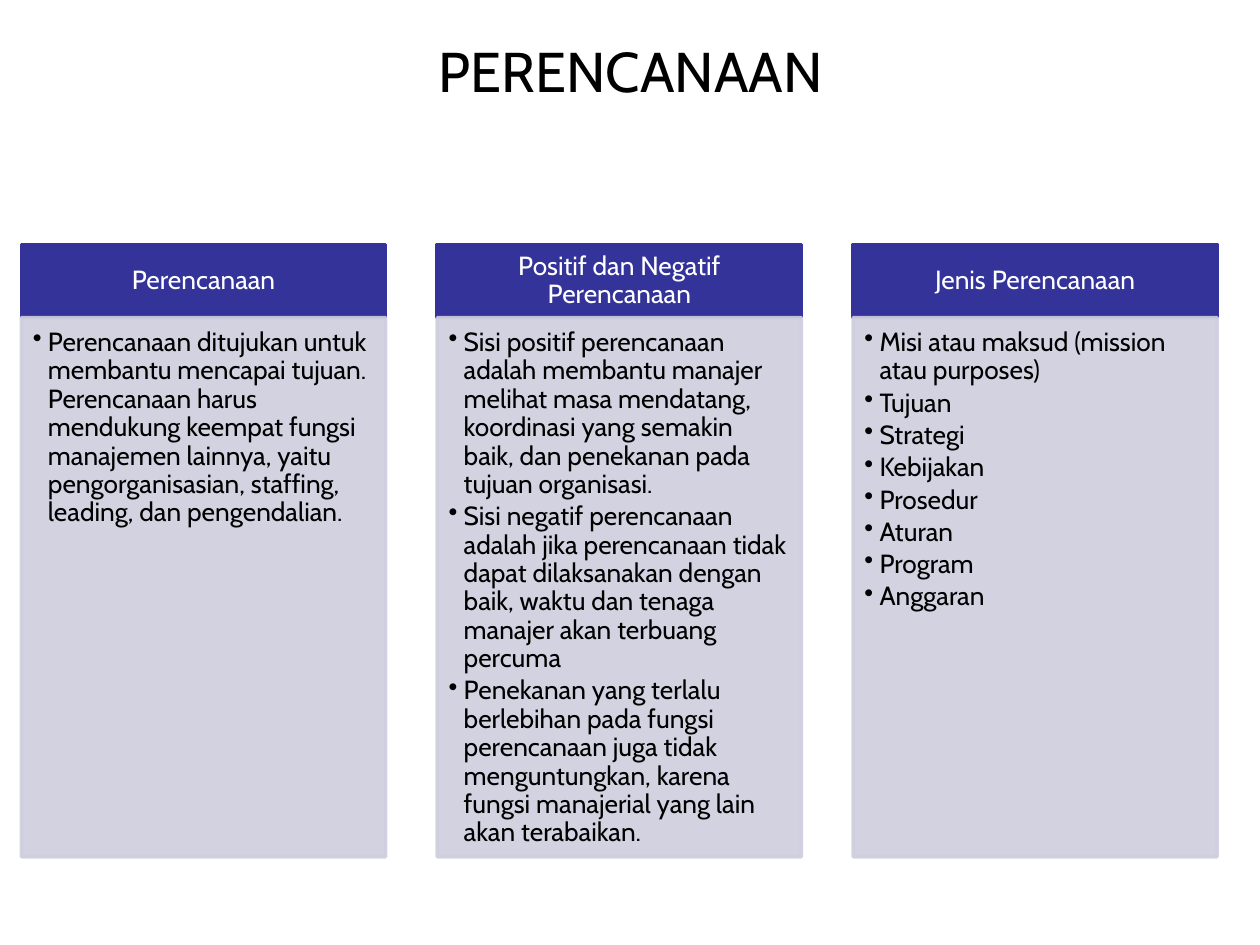
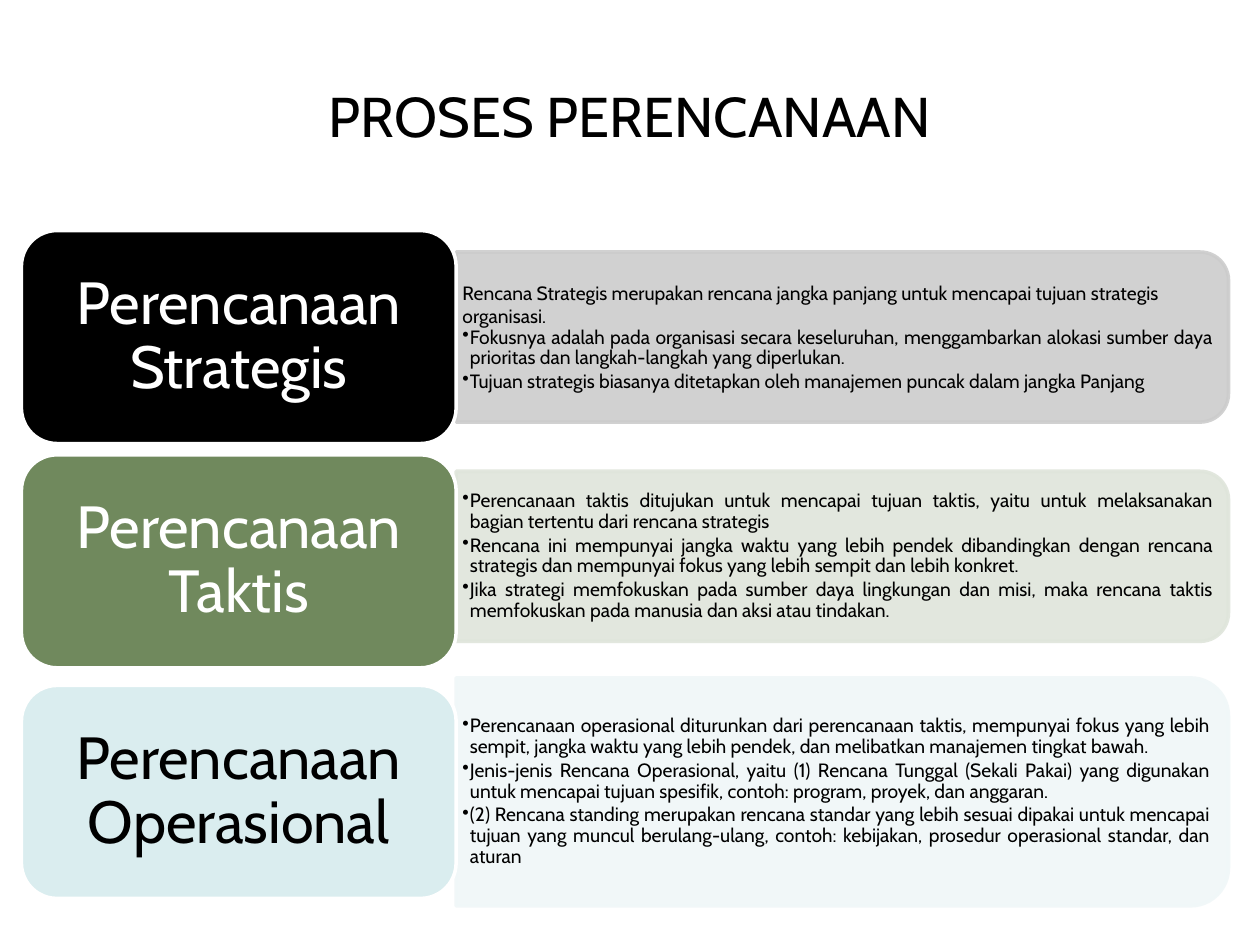
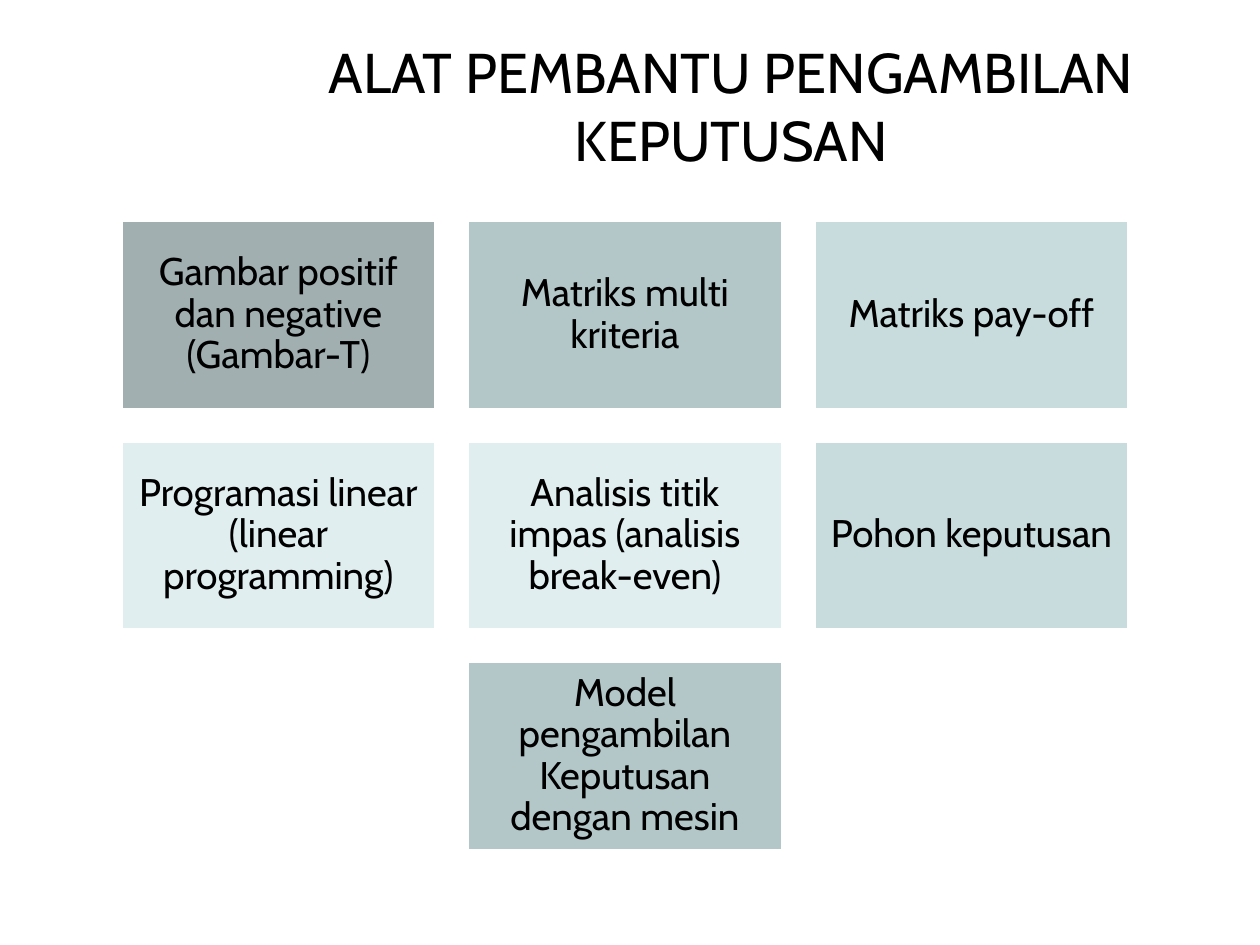
import pptx
import pptx.dml.color
import pptx.enum.shapes
import pptx.enum.text
import pptx.oxml
import pptx.oxml.ns
import pptx.util

Inches = pptx.util.Inches
Pt = pptx.util.Pt
SHAPE = pptx.enum.shapes.MSO_SHAPE
ALIGN = pptx.enum.text.PP_ALIGN
ANCHOR = pptx.enum.text.MSO_ANCHOR

FONT = "Cabin"
BLACK, WHITE = "000000", "FFFFFF"
NAVY, LAVENDER = "333399", "CECEDE"
TITLE_SIZE = 32

# Content
COLUMNS = [
    ("Perencanaan", [
        "Perencanaan ditujukan untuk membantu mencapai tujuan. Perencanaan harus mendukung "
        "keempat fungsi manajemen lainnya, yaitu pengorganisasian, staffing, leading, dan "
        "pengendalian.",
    ]),
    ("Positif dan Negatif Perencanaan", [
        "Sisi positif perencanaan adalah membantu manajer melihat masa mendatang, koordinasi "
        "yang semakin baik, dan penekanan pada tujuan organisasi.",
        "Sisi negatif perencanaan adalah jika perencanaan tidak dapat dilaksanakan dengan baik, "
        "waktu dan tenaga manajer akan terbuang percuma",
        "Penekanan yang terlalu berlebihan pada fungsi perencanaan juga tidak menguntungkan, "
        "karena fungsi manajerial yang lain akan terabaikan.",
    ]),
    ("Jenis Perencanaan", [
        "Misi atau maksud (mission atau purposes)", "Tujuan", "Strategi", "Kebijakan",
        "Prosedur", "Aturan", "Program", "Anggaran",
    ]),
]

LEVELS = [
    {"label": "Perencanaan Strategis", "fill": BLACK, "color": WHITE, "top": 1.83,
     "panel": "CCCCCC", "panel_top": 2.0, "panel_height": 1.35,
     "intro": "Rencana Strategis merupakan rencana jangka panjang untuk mencapai tujuan "
              "strategis organisasi.",
     "points": [
         "Fokusnya adalah pada organisasi secara keseluruhan, menggambarkan alokasi sumber "
         "daya prioritas dan langkah-langkah yang diperlukan.",
         "Tujuan strategis biasanya ditetapkan oleh manajemen puncak dalam jangka Panjang",
     ]},
    {"label": "Perencanaan Taktis", "fill": "70895D", "color": WHITE, "top": 3.61,
     "panel": "DFE5DB", "panel_top": 3.74, "panel_height": 1.35,
     "points": [
         "Perencanaan taktis ditujukan untuk mencapai tujuan taktis, yaitu untuk melaksanakan "
         "bagian tertentu dari rencana strategis",
         "Rencana ini mempunyai jangka waktu yang lebih pendek dibandingkan dengan rencana "
         "strategis dan mempunyai fokus yang lebih sempit dan lebih konkret.",
         "Jika strategi memfokuskan pada sumber daya lingkungan dan misi, maka rencana taktis "
         "memfokuskan pada manusia dan aksi atau tindakan.",
     ]},
    {"label": "Perencanaan Operasional", "fill": "DAEDEF", "color": BLACK, "top": 5.44,
     "panel": "F0F7F8", "panel_top": 5.38, "panel_height": 1.81,
     "points": [
         "Perencanaan operasional diturunkan dari perencanaan taktis, mempunyai fokus yang "
         "lebih sempit, jangka waktu yang lebih pendek, dan melibatkan manajemen tingkat bawah.",
         "Jenis-jenis Rencana Operasional, yaitu (1) Rencana Tunggal (Sekali Pakai) yang "
         "digunakan untuk mencapai tujuan spesifik, contoh: program, proyek, dan anggaran.",
         "(2) Rencana standing merupakan rencana standar yang lebih sesuai dipakai untuk "
         "mencapai tujuan yang muncul berulang-ulang, contoh: kebijakan, prosedur operasional "
         "standar, dan aturan",
     ]},
]

# Each tool: column, row, label, fill
TOOLS = [
    (0, 0, "Gambar positif dan negative (Gambar-T)", "A1AFB1"),
    (1, 0, "Matriks multi kriteria", "B3C7C9"),
    (2, 0, "Matriks pay-off", "C8DCDE"),
    (0, 1, "Programasi linear (linear programming)", "E0EEF0"),
    (1, 1, "Analisis titik impas (analisis break-even)", "E0EEF0"),
    (2, 1, "Pohon keputusan", "C8DCDE"),
    (1, 2, "Model pengambilan Keputusan dengan mesin", "B3C7C9"),
]


# Helpers
def rgb(value):
    return pptx.dml.color.RGBColor.from_string(value)


def set_alpha(sp, percent):
    for color in sp._element.spPr.iter(pptx.oxml.ns.qn("a:srgbClr")):
        color.append(pptx.oxml.parse_xml(
            f'<a:alpha {pptx.oxml.ns.nsdecls("a")} val="{percent * 1000}"/>'))


def add_box(slide, kind, box, fill, line):
    sp = slide.shapes.add_shape(kind, *map(Inches, box))
    sp.shadow.inherit = False
    sp.fill.solid()
    sp.fill.fore_color.rgb = rgb(fill)
    sp.line.color.rgb = rgb(line)
    sp.line.width = Pt(2)
    return sp


def set_frame(sp, insets, anchor):
    tf = sp.text_frame
    tf.word_wrap = True
    tf.auto_size = pptx.enum.text.MSO_AUTO_SIZE.NONE
    tf.vertical_anchor = anchor
    tf.margin_left, tf.margin_top, tf.margin_right, tf.margin_bottom = map(Inches, insets)
    return tf


def add_run(p, text, size, color=BLACK):
    r = p.add_run()
    r.text = text
    r.font.name = FONT
    r.font.size = Pt(size)
    r.font.color.rgb = rgb(color)


def add_label(sp, text, size, color, insets):
    p = set_frame(sp, insets, ANCHOR.MIDDLE).paragraphs[0]
    p.alignment = ALIGN.CENTER
    p.line_spacing = 0.9
    add_run(p, text, size, color)


def add_bullets(tf, points, size, indent, align, intro=None):
    p = tf.paragraphs[0]
    if intro:
        p.alignment = ALIGN.LEFT
        add_run(p, intro, size)
        p = tf.add_paragraph()
    for i, point in enumerate(points):
        if i:
            p = tf.add_paragraph()
            p.space_before = Pt(size * 0.15)
        p.alignment = align
        p.line_spacing = 0.9
        pPr = p._p.get_or_add_pPr()
        pPr.set("marL", str(Inches(indent)))
        pPr.set("indent", str(-Inches(indent)))
        pPr.append(pptx.oxml.parse_xml(
            f'<a:buChar {pptx.oxml.ns.nsdecls("a")} char="•"/>'))
        add_run(p, point, size)


def add_slide(prs, title, box):
    slide = prs.slides.add_slide(prs.slide_layouts.get_by_name("Title Only"))
    sp = slide.shapes.title
    sp.left, sp.top, sp.width, sp.height = map(Inches, box)
    p = set_frame(sp, [0.04] * 4, ANCHOR.MIDDLE).paragraphs[0]
    p.alignment = ALIGN.CENTER
    add_run(p, title, TITLE_SIZE)
    return slide


# Slides
def build_columns(prs):
    slide = add_slide(prs, "PERENCANAAN", (0.98, 0.2, 8.05, 0.72))
    left, top, width, pitch = 0.17, 1.94, 2.89, 3.3
    head_height, body_height = 0.58, 4.28
    for i, (heading, points) in enumerate(COLUMNS):
        x = left + i * pitch
        head = add_box(slide, SHAPE.RECTANGLE, (x, top, width, head_height), NAVY, NAVY)
        add_label(head, heading, 15, WHITE, (0.12, 0.07, 0.12, 0.07))
        body = add_box(slide, SHAPE.RECTANGLE, (x, top + head_height, width, body_height),
                       LAVENDER, LAVENDER)
        set_alpha(body, 90)
        tf = set_frame(body, (0.09, 0.09, 0.12, 0.13), ANCHOR.TOP)
        add_bullets(tf, points, 15, 0.12, ALIGN.LEFT)


def build_levels(prs):
    slide = add_slide(prs, "PROSES PERENCANAAN", (2.25, 0.26, 5.5, 1.3))
    left, width, height = 0.17, 3.45, 1.69
    panel_left, panel_width = left + width, 6.13
    for level in LEVELS:
        # The panel is drawn upright and turned so its round corners face right
        y, h = level["panel_top"], level["panel_height"]
        shift = (panel_width - h) / 2
        panel = add_box(slide, SHAPE.ROUND_2_SAME_RECTANGLE,
                        (panel_left + shift, y - shift, h, panel_width),
                        level["panel"], level["panel"])
        panel.rotation = 90
        set_alpha(panel, 90)
        inset = h * 0.05
        text = slide.shapes.add_textbox(*map(Inches, (
            panel_left, y + inset, panel_width - inset, h - 2 * inset)))
        tf = set_frame(text, (0.05, 0.02, 0.05, 0.02), ANCHOR.MIDDLE)
        add_bullets(tf, level["points"], 11, 0.06, ALIGN.JUSTIFY, level.get("intro"))
        card = add_box(slide, SHAPE.ROUNDED_RECTANGLE, (left, level["top"], width, height),
                       level["fill"], WHITE)
        add_label(card, level["label"], 34, level["color"], (0.14, 0.07, 0.14, 0.07))


def build_tools(prs):
    slide = add_slide(prs, "ALAT PEMBANTU PENGAMBILAN KEPUTUSAN", (2.17, 0.31, 7.27, 1.05))
    left, top, width, height, gap = 0.96, 1.75, 2.5, 1.5, 0.25
    for col, row, label, fill in TOOLS:
        box = (left + col * (width + gap), top + row * (height + gap), width, height)
        tile = add_box(slide, SHAPE.RECTANGLE, box, fill, WHITE)
        add_label(tile, label, 22, BLACK, [0.09] * 4)


def main():
    prs = pptx.Presentation()
    prs.slide_width, prs.slide_height = Inches(10), Inches(7.5)
    build_columns(prs)
    build_levels(prs)
    build_tools(prs)
    prs.save("out.pptx")


if __name__ == "__main__":
    main()
